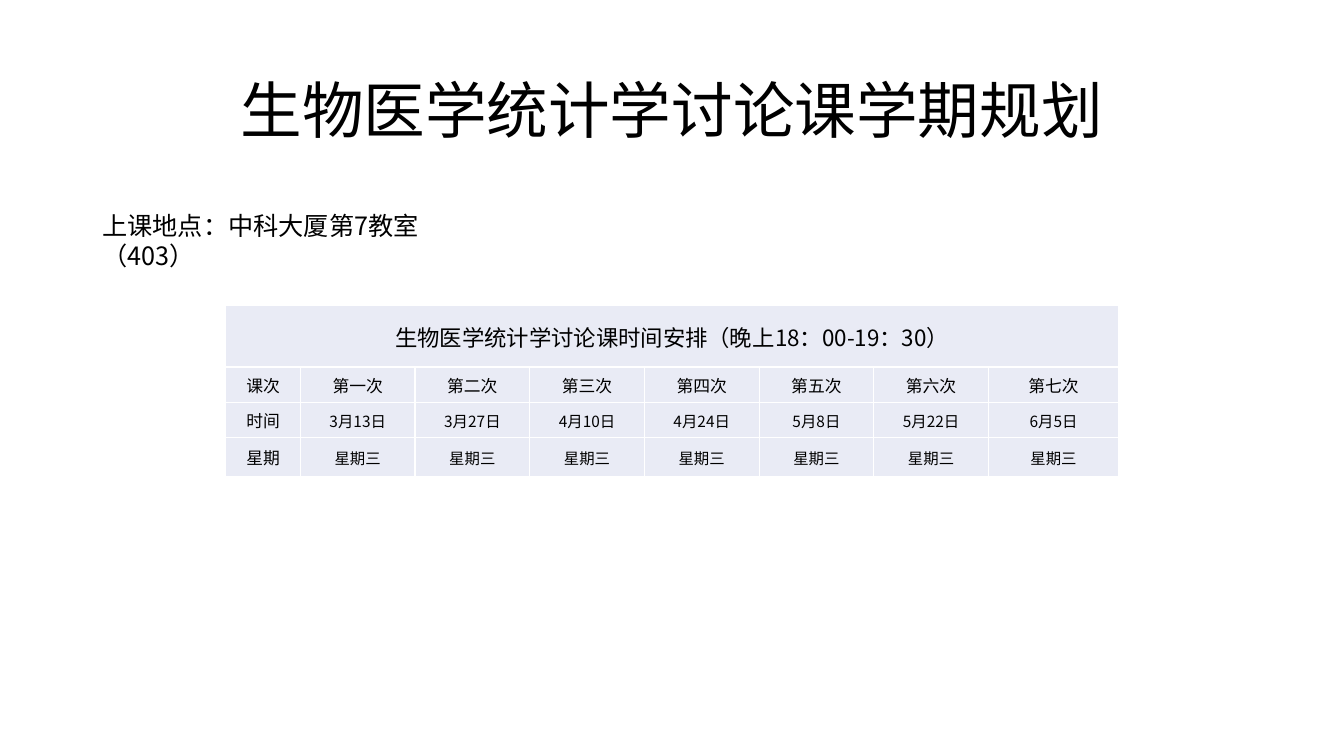
from pptx import Presentation, util as u
from pptx.dml.color import RGBColor
from pptx.enum import text as t
from pptx.oxml import parse_xml
from pptx.oxml.ns import nsdecls

FACE = "Noto Sans CJK SC"
INK, FILL, RULE = "000000", "E9EBF5", "FFFFFF"


def tint(code):
    return RGBColor.from_string(code)


def style(para, size, align):
    para.alignment = align
    font = para.font
    font.size = u.Pt(size)
    font.name = FACE
    font.color.rgb = tint(INK)
    # East Asian typeface
    para._p.pPr.find("{*}defRPr").append(
        parse_xml(f'<a:ea {nsdecls("a")} typeface="{FACE}"/>'))


def label(slide, words, box, size, align, anchor):
    frame = slide.shapes.add_textbox(*map(u.Cm, box)).text_frame
    frame.word_wrap = True
    frame.vertical_anchor = anchor
    para = frame.paragraphs[0]
    para.text = words
    style(para, size, align)
    return para


def border(cell):
    props = cell._tc.get_or_add_tcPr()
    for i, side in enumerate(("lnL", "lnR", "lnT", "lnB")):
        props.insert(i, parse_xml(
            f'<a:{side} {nsdecls("a")} w="12700"><a:solidFill>'
            f'<a:srgbClr val="{RULE}"/></a:solidFill></a:{side}>'))


def fill_cell(cell, words, size):
    cell.fill.solid()
    cell.fill.fore_color.rgb = tint(FILL)
    cell.vertical_anchor = t.MSO_ANCHOR.MIDDLE
    cell.margin_left = cell.margin_right = cell.margin_top = u.Cm(0.03)
    cell.margin_bottom = 0
    para = cell.text_frame.paragraphs[0]
    para.text = words
    style(para, size, t.PP_ALIGN.CENTER)
    border(cell)


def schedule(slide, head, rows, left, top, widths, heights):
    grid = slide.shapes.add_table(
        len(heights), len(widths), u.Cm(left), u.Cm(top),
        u.Cm(sum(widths)), u.Cm(sum(heights))).table
    grid.first_row = grid.horz_banding = False
    for col, width in zip(grid.columns, widths):
        col.width = u.Cm(width)
    for row, height in zip(grid.rows, heights):
        row.height = u.Cm(height)

    # Heading across all columns
    grid.cell(0, 0).merge(grid.cell(0, len(widths) - 1))
    for c in range(len(widths)):
        fill_cell(grid.cell(0, c), "" if c else head, 16)

    # Sessions, dates and weekdays
    for r, row in enumerate(rows, 1):
        for c, words in enumerate(row):
            fill_cell(grid.cell(r, c), words, 12 if r == 1 or c == 0 else 11)


def main():
    deck = Presentation()
    deck.slide_width, deck.slide_height = u.Cm(33.87), u.Cm(19.05)
    slide = deck.slides.add_slide(deck.slide_layouts[6])

    # Title
    title = label(slide, "生物医学统计学讨论课学期规划", (2.33, 1.01, 29.21, 3.68),
                  44, t.PP_ALIGN.CENTER, t.MSO_ANCHOR.MIDDLE)
    title.line_spacing = 0.9

    # Timetable
    days = ["3月13日", "3月27日", "4月10日", "4月24日", "5月8日", "5月22日", "6月5日"]
    rows = [
        ["课次"] + [f"第{n}次" for n in "一二三四五六七"],
        ["时间"] + days,
        ["星期"] + ["星期三"] * len(days),
    ]
    schedule(slide, "生物医学统计学讨论课时间安排（晚上18：00-19：30）", rows,
             5.69, 7.7, [1.88] + [2.89] * 6 + [3.28], [1.55, 0.89, 0.89, 0.97])

    # Classroom
    label(slide, "上课地点：中科大厦第7教室（403）", (2.33, 5.18, 10.46, 1.02),
          18, t.PP_ALIGN.LEFT, t.MSO_ANCHOR.TOP)

    deck.save("out.pptx")


if __name__ == "__main__":
    main()
